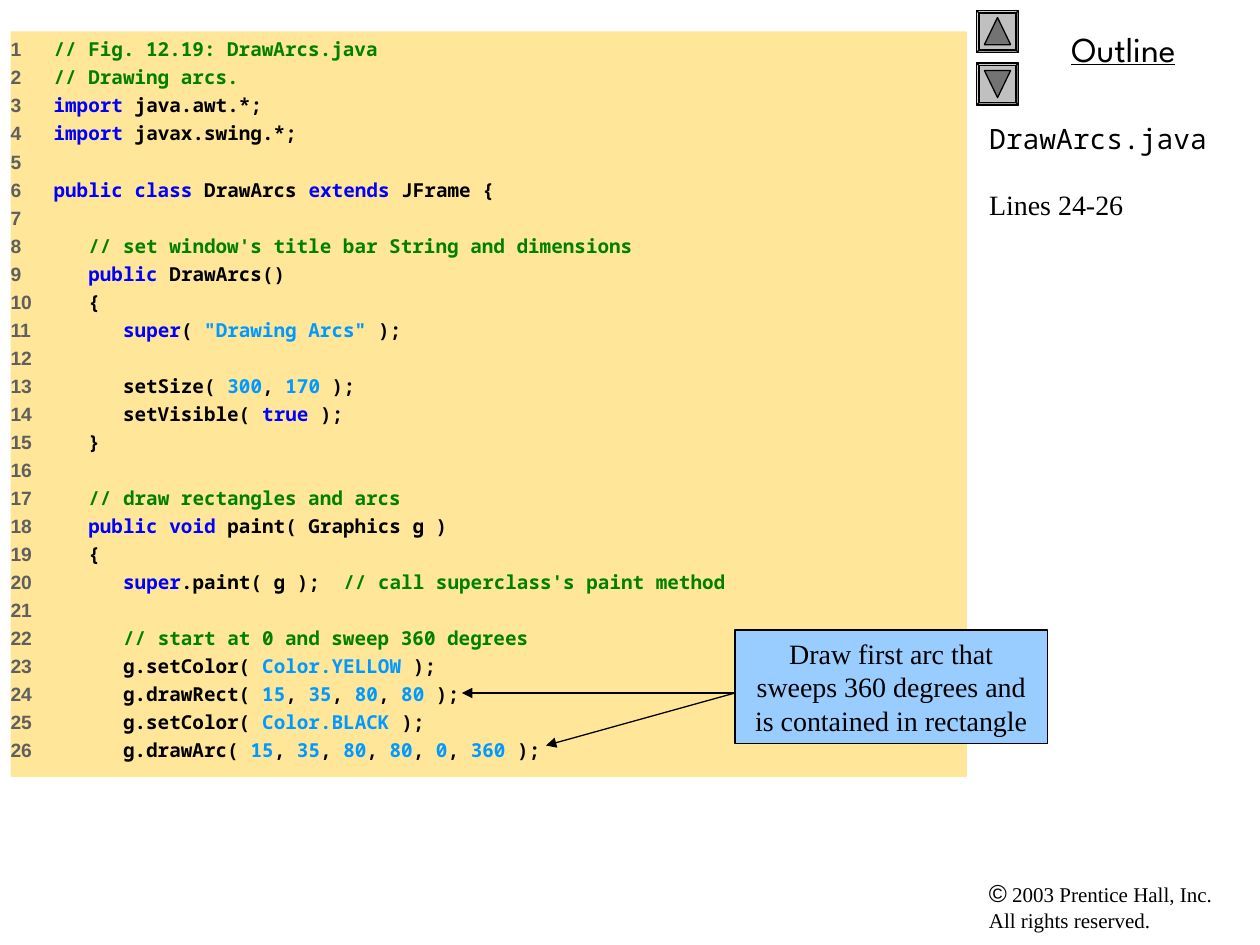
from pptx import Presentation
from pptx.dml.color import RGBColor
from pptx.enum.shapes import MSO_CONNECTOR, MSO_SHAPE
from pptx.enum.text import MSO_ANCHOR, MSO_AUTO_SIZE, PP_ALIGN
from pptx.oxml.ns import qn
from pptx.util import Pt
from lxml.etree import SubElement

MONO, SERIF, SANS = "Noto Sans Mono", "Times New Roman", "Arial"
BLACK, GREY = "000000", "C0C0C0"
NOTE, WORD, VALUE = "008000", "0000FF", "0099FF"
WORDS = {"import", "public", "public class", "public void", "extends", "super", "true"}

# Bars set off the coloured parts of a line.
CODE = [
    "|// Fig. 12.19: DrawArcs.java|",
    "|// Drawing arcs.|",
    "|import| java.awt.*;",
    "|import| javax.swing.*;",
    "",
    "|public class| DrawArcs |extends| JFrame {",
    "",
    "   |// set window's title bar String and dimensions|",
    "   |public| DrawArcs()",
    "   {",
    "      |super|( |\"Drawing Arcs\"| );",
    "",
    "      setSize( |300|, |170| );",
    "      setVisible( |true| );",
    "   }",
    "",
    "   |// draw rectangles and arcs|",
    "   |public void| paint( Graphics g )",
    "   {",
    "      |super|.paint( g );  |// call superclass's paint method|",
    "",
    "      |// start at 0 and sweep 360 degrees|",
    "      g.setColor( |Color.YELLOW| );",
    "      g.drawRect( |15|, |35|, |80|, |80| );",
    "      g.setColor( |Color.BLACK| );",
    "      g.drawArc( |15|, |35|, |80|, |80|, |0|, |360| );",
]
TITLE = [("DrawArcs.java", MONO), ("Lines 24-26", SERIF)]
CALL = "Draw first arc that sweeps 360 degrees and is contained in rectangle"
RIGHTS = [("©", SANS, 14), (" 2003 Prentice Hall, Inc.\vAll rights reserved.", SERIF, 12)]
BUTTONS = [(6, 10, 0), (36, 40.3, 180)]
START, ENDS = (420, 396), [(264, 396), (312, 426)]


def paint(part, tone):
    part.solid()
    part.fore_color.rgb = RGBColor.from_string(tone)


def shape(kind, box, tone, edge=0.75):
    item = slide.shapes.add_shape(kind, *map(Pt, box))
    item.shadow.inherit = False
    paint(item.fill, tone)
    if edge:
        paint(item.line.fill, BLACK)
        item.line.width = Pt(edge)
    else:
        item.line.fill.background()
    return item


def frame(item, left=7.2):
    body = item.text_frame
    form = dict(word_wrap=True, auto_size=MSO_AUTO_SIZE.NONE,
                vertical_anchor=MSO_ANCHOR.TOP, margin_left=Pt(left),
                margin_right=Pt(7.2), margin_top=Pt(3.6), margin_bottom=Pt(3.6))
    for key, value in form.items():
        setattr(body, key, value)
    return body


def label(box):
    return frame(slide.shapes.add_textbox(*map(Pt, box)))


def line(body, first, align=PP_ALIGN.LEFT, gap=0):
    para = body.paragraphs[0] if first else body.add_paragraph()
    para.alignment = align
    para.space_before = Pt(0 if first else gap)
    return para


def write(para, text, face, size, tone=BLACK, **form):
    for i, piece in enumerate(text.split("\v")):
        if i:
            para.add_line_break()
        run = para.add_run()
        run.text = piece
        look = dict(name=face, size=Pt(size), **form)
        for key, value in look.items():
            setattr(run.font, key, value)
        paint(run.font.fill, tone)


def hue(text):
    if text.startswith("//"):
        return NOTE
    return WORD if text in WORDS else VALUE


deck = Presentation()
deck.slide_width, deck.slide_height = Pt(720), Pt(540)
slide = deck.slides.add_slide(deck.slide_layouts[5])

rights = line(label((558, 498, 156, 39)), True)
for text, face, size in RIGHTS:
    write(rights, text, face, size)
head = line(label((564, 12, 156, 32)), True, PP_ALIGN.CENTER)
write(head, "Outline", "League Spartan", 20, underline=True)

for top, tip, turn in BUTTONS:
    bevel = shape(MSO_SHAPE.BEVEL, (558, top, 24, 24), GREY)
    bevel.adjustments[0] = 0.06
    mark = shape(MSO_SHAPE.ISOSCELES_TRIANGLE, (562.5, tip, 15, 15.5), "737373")
    mark.rotation = turn

title = slide.shapes.title
place = dict(left=558, top=66, width=162, height=432)
for key, value in place.items():
    setattr(title, key, Pt(value))
body = frame(title)
for i, (text, face) in enumerate(TITLE):
    write(line(body, not i, gap=18.4), text, face, 16)

panel = frame(shape(MSO_SHAPE.RECTANGLE, (6, 18, 546.5, 426), "FFE699", 0), 0)
for i, code in enumerate(CODE):
    para = line(panel, not i, gap=2.8)
    para.line_spacing = Pt(13.2)
    tabs = SubElement(para._p.get_or_add_pPr(), qn("a:tabLst"))
    SubElement(tabs, qn("a:tab"), pos=str(Pt(24.6)), algn="l")
    write(para, f"{i + 1}\t" if code else str(i + 1), SANS, 11, "5F5F5F", bold=True)
    for j, text in enumerate(code.split("|")):
        if text:
            write(para, text, MONO, 11, hue(text) if j % 2 else BLACK, bold=True)

call = frame(shape(MSO_SHAPE.RECTANGLE, (420, 360, 178.5, 65), "99CCFF"))
write(line(call, True, PP_ALIGN.CENTER), CALL, SERIF, 16)
for end in ENDS:
    arrow = slide.shapes.add_connector(MSO_CONNECTOR.STRAIGHT, *map(Pt, START + end))
    paint(arrow.line.fill, BLACK)
    arrow.line.width = Pt(0.75)
    SubElement(arrow.line._get_or_add_ln(), qn("a:tailEnd"), type="triangle")
    SubElement(arrow._element.spPr, qn("a:effectLst"))

deck.save("out.pptx")
